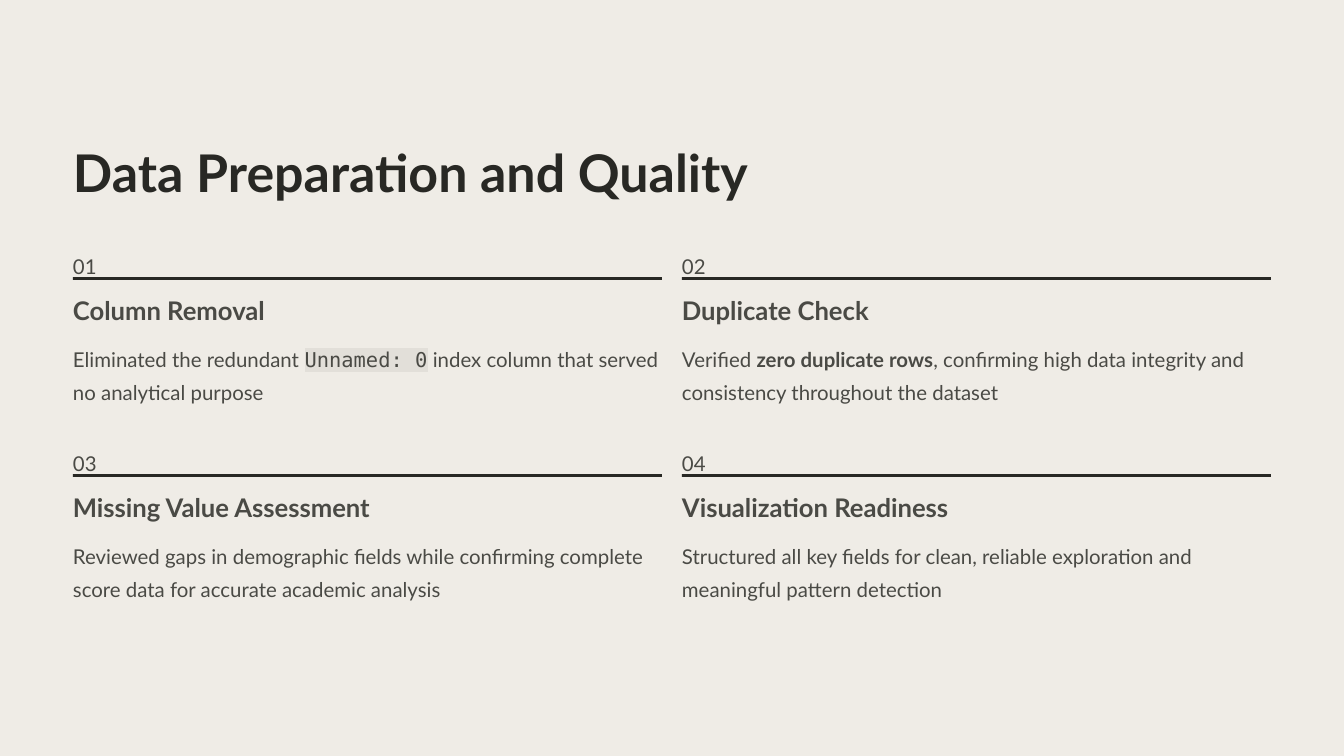
from dataclasses import dataclass

from lxml import etree
from pptx import Presentation
from pptx import util as u
from pptx.dml.color import RGBColor
from pptx.enum import shapes, text
from pptx.oxml.ns import qn
from pptx.slide import Slide

PX = 914400 / 84  # EMU in one px

BACKGROUND = RGBColor(0xEF, 0xEC, 0xE6)
DARK = RGBColor(0x28, 0x28, 0x24)
BODY = RGBColor(0x4A, 0x4A, 0x45)
CODE_BACKGROUND = RGBColor(0xE2, 0xDF, 0xD9)

SANS = "Lato"
MONO = "DejaVu Sans Mono"

# Card grid, in px
LEFT, TOP = 73, 245
COLUMN_STEP, ROW_STEP = 609, 197
CARD_WIDTH = 589


@dataclass
class Run:
    wording: str
    bold: bool = False
    code: bool = False


@dataclass
class Style:
    size: float
    line: float
    color: RGBColor


@dataclass
class Card:
    heading: str
    heading_width: int
    description: list[Run]


TITLE = Style(44.5, 55.5, DARK)
HEADING = Style(22, 27.5, BODY)
TEXT = Style(17.5, 28.5, BODY)

CARDS = [
    Card("Column Removal", 260, [
        Run("Eliminated the redundant "),
        Run("Unnamed: 0", code=True),
        Run(" index column that served no analytical purpose"),
    ]),
    Card("Duplicate Check", 260, [
        Run("Verified "),
        Run("zero duplicate rows", bold=True),
        Run(", confirming high data integrity and consistency throughout the dataset"),
    ]),
    Card("Missing Value Assessment", 304, [
        Run("Reviewed gaps in demographic fields while confirming complete "
            "score data for accurate academic analysis"),
    ]),
    Card("Visualization Readiness", 275, [
        Run("Structured all key fields for clean, reliable exploration and "
            "meaningful pattern detection"),
    ]),
]


def px(length: int) -> u.Emu:
    return u.Emu(round(length * PX))


def add_text(slide: Slide, left: int, top: int, width: int, height: int,
             runs: list[Run], style: Style, wrap: bool = False) -> None:
    shape = slide.shapes.add_textbox(px(left), px(top), px(width), px(height))
    frame = shape.text_frame
    frame.margin_left = frame.margin_right = 0
    frame.margin_top = frame.margin_bottom = 0
    frame.word_wrap = wrap
    frame.vertical_anchor = text.MSO_ANCHOR.TOP
    paragraph = frame.paragraphs[0]
    paragraph.line_spacing = u.Pt(style.line)
    for item in runs:
        run = paragraph.add_run()
        run.text = item.wording
        run.font.size = u.Pt(style.size)
        run.font.bold = item.bold
        run.font.color.rgb = style.color
        if item.code:
            # The highlight must follow the fill and precede the typeface
            highlight = etree.SubElement(run.font._element, qn("a:highlight"))
            etree.SubElement(highlight, qn("a:srgbClr"), val=str(CODE_BACKGROUND))
        run.font.name = MONO if item.code else SANS


def add_rule(slide: Slide, left: int, top: int) -> None:
    shape = slide.shapes.add_shape(shapes.MSO_SHAPE.RECTANGLE,
                                   px(left), px(top), px(CARD_WIDTH), px(3))
    shape.shadow.inherit = False
    shape.fill.solid()
    shape.fill.fore_color.rgb = DARK
    shape.line.fill.background()


def add_card(slide: Slide, index: int, card: Card) -> None:
    row, column = divmod(index, 2)
    left = LEFT + column * COLUMN_STEP
    top = TOP + row * ROW_STEP
    add_text(slide, left, top, 28, 26, [Run(f"{index + 1:02}")], TEXT)
    add_rule(slide, left, top + 32)
    add_text(slide, left, top + 49, card.heading_width, 33,
             [Run(card.heading, bold=True)], HEADING)
    add_text(slide, left, top + 93, CARD_WIDTH, 66, card.description, TEXT, wrap=True)


def main() -> None:
    presentation = Presentation()
    presentation.slide_width = u.Inches(16)
    presentation.slide_height = u.Inches(9)
    slide = presentation.slides.add_slide(presentation.slide_layouts[6])
    slide.background.fill.solid()
    slide.background.fill.fore_color.rgb = BACKGROUND

    # Title
    add_text(slide, LEFT, 138, 685, 66,
             [Run("Data Preparation and Quality", bold=True)], TITLE)

    # Numbered cards
    for index, card in enumerate(CARDS):
        add_card(slide, index, card)

    presentation.save("out.pptx")


if __name__ == "__main__":
    main()
